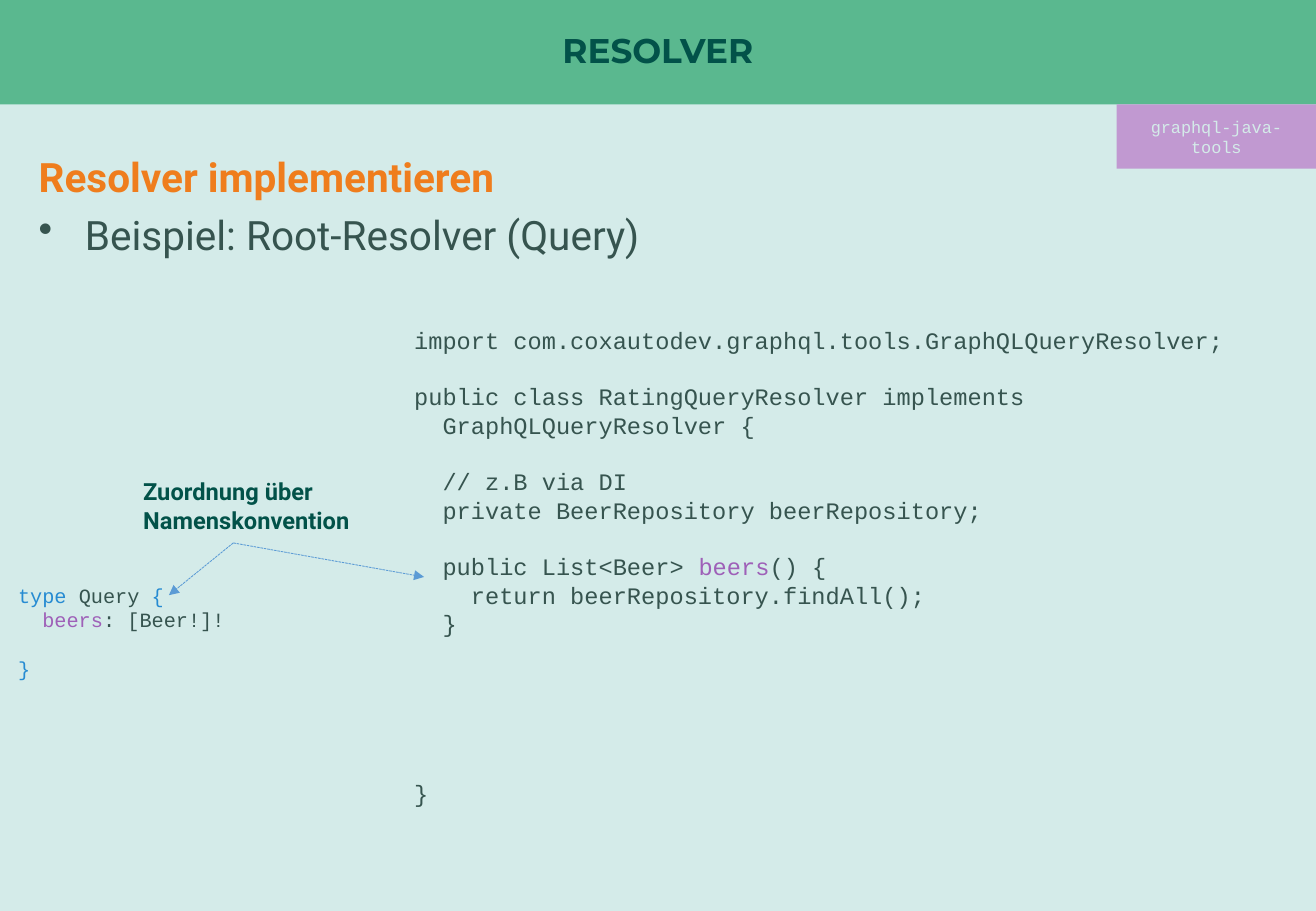
from pptx import Presentation
from pptx import util as u
from pptx.dml.color import RGBColor
from pptx.enum import dml, shapes, text
from pptx.oxml import parse_xml
from pptx.oxml.ns import nsdecls, qn

PINE, SLATE, MINT = "025249", "36544F", "D4EBE9"
BLUE, PLUM = "268BD2", "9E60B8"
MONO, SANS = "Courier New", "Roboto"


def hue(code):
    return RGBColor.from_string(code)


def px(n):
    return u.Emu(n * 9144)


class Deck:
    """Holds the style and the current slide, and draws each kind of element."""

    def __init__(self, wide, high):
        self.show = Presentation()
        self.show.slide_width, self.show.slide_height = px(wide), px(high)
        self.slide = self.show.slides.add_slide(self.show.slide_layouts[6])
        fill = self.slide.background.fill
        fill.solid()
        fill.fore_color.rgb = hue(MINT)

    def rect(self, x, y, w, h, fill):
        box = self.slide.shapes.add_shape(
            shapes.MSO_SHAPE.RECTANGLE, px(x), px(y), px(w), px(h))
        box.shadow.inherit = False
        box.fill.solid()
        box.fill.fore_color.rgb = hue(fill)
        box.line.fill.background()
        box.text_frame.word_wrap = True
        box.text_frame.vertical_anchor = text.MSO_ANCHOR.MIDDLE
        return box.text_frame

    def area(self, x, y, w, h):
        box = self.slide.shapes.add_textbox(px(x), px(y), px(w), px(h))
        box.text_frame.word_wrap = True
        return box.text_frame

    def para(self, frame, runs, font, size, bold=False, lead=None,
             gap=0, mid=False, dot=False):
        para = frame.paragraphs[0]
        if para.runs:
            para = frame.add_paragraph()
        if mid:
            para.alignment = text.PP_ALIGN.CENTER
        if lead:
            para.line_spacing = lead
        if gap:
            para.space_before = u.Pt(gap)
        if dot:
            props = para._p.get_or_add_pPr()
            props.set("marL", str(px(38)))
            props.set("indent", str(px(-38)))
            props.append(parse_xml(f'<a:buChar {nsdecls("a")} char="•"/>'))
        for words, color in runs:
            run = para.add_run()
            run.text = words
            run.font.name, run.font.size = font, u.Pt(size)
            run.font.bold = bold
            run.font.color.rgb = hue(color)

    def code(self, frame, size, lines):
        pitch = size * 1.2
        for skip, runs in lines:
            self.para(frame, runs, MONO, size, lead=u.Pt(pitch), gap=skip * pitch)

    def arrow(self, start, end):
        line = self.slide.shapes.add_connector(
            shapes.MSO_CONNECTOR.STRAIGHT, *map(px, start + end))
        line.line.color.rgb = hue("5B9BD5")
        line.line.width = u.Pt(0.5)
        line.line.dash_style = dml.MSO_LINE.SQUARE_DOT
        props = line._element.spPr
        props.find(qn("a:ln")).append(
            parse_xml(f'<a:tailEnd {nsdecls("a")} type="triangle"/>'))
        props.append(parse_xml(f'<a:effectLst {nsdecls("a")}/>'))


def main():
    deck = Deck(1083, 750)

    title = deck.rect(0, 0, 1083, 86, "5AB88F")
    deck.para(title, [("RESOLVER", PINE)], "Montserrat", 20.3, True, 0.9, mid=True)
    badge = deck.rect(919, 86, 164, 53, "C199D1")
    deck.para(badge, [("graphql-java-tools", MINT)], MONO, 10,
              lead=u.Pt(12), mid=True)

    intro = deck.area(22, 112, 919, 104)
    deck.para(intro, [("Resolver implementieren", "EF7D1D")], SANS, 24, True, 1.2)
    deck.para(intro, [("Beispiel: Root-Resolver (Query)", SLATE)], SANS, 24,
              lead=1.2, dot=True)

    deck.code(deck.area(5, 475, 289, 91), 12, [
        (0, [("type ", BLUE), ("Query ", SLATE), ("{", BLUE)]),
        (0, [("  beers", PLUM), (": [Beer!]!", SLATE)]),
        (1, [("}", BLUE)]),
    ])
    deck.code(deck.area(331, 263, 732, 411), 14, [
        (0, [("import com.coxautodev.graphql.tools.GraphQLQueryResolver;", SLATE)]),
        (1, [("public class RatingQueryResolver implements", SLATE)]),
        (0, [("  GraphQLQueryResolver {", SLATE)]),
        (1, [("  // z.B via DI", SLATE)]),
        (0, [("  private BeerRepository beerRepository;", SLATE)]),
        (1, [("  public List<Beer> ", SLATE), ("beers", PLUM), ("() {", SLATE)]),
        (0, [("    return beerRepository.findAll();", SLATE)]),
        (0, [("  }", SLATE)]),
        (5, [("}", SLATE)]),
    ])

    note = deck.area(108, 388, 190, 57)
    deck.para(note, [("Zuordnung über Namenskonvention", PINE)], SANS, 14, True)
    for end in (139, 490), (349, 475):
        deck.arrow((192, 447), end)

    deck.show.save("out.pptx")


if __name__ == "__main__":
    main()
